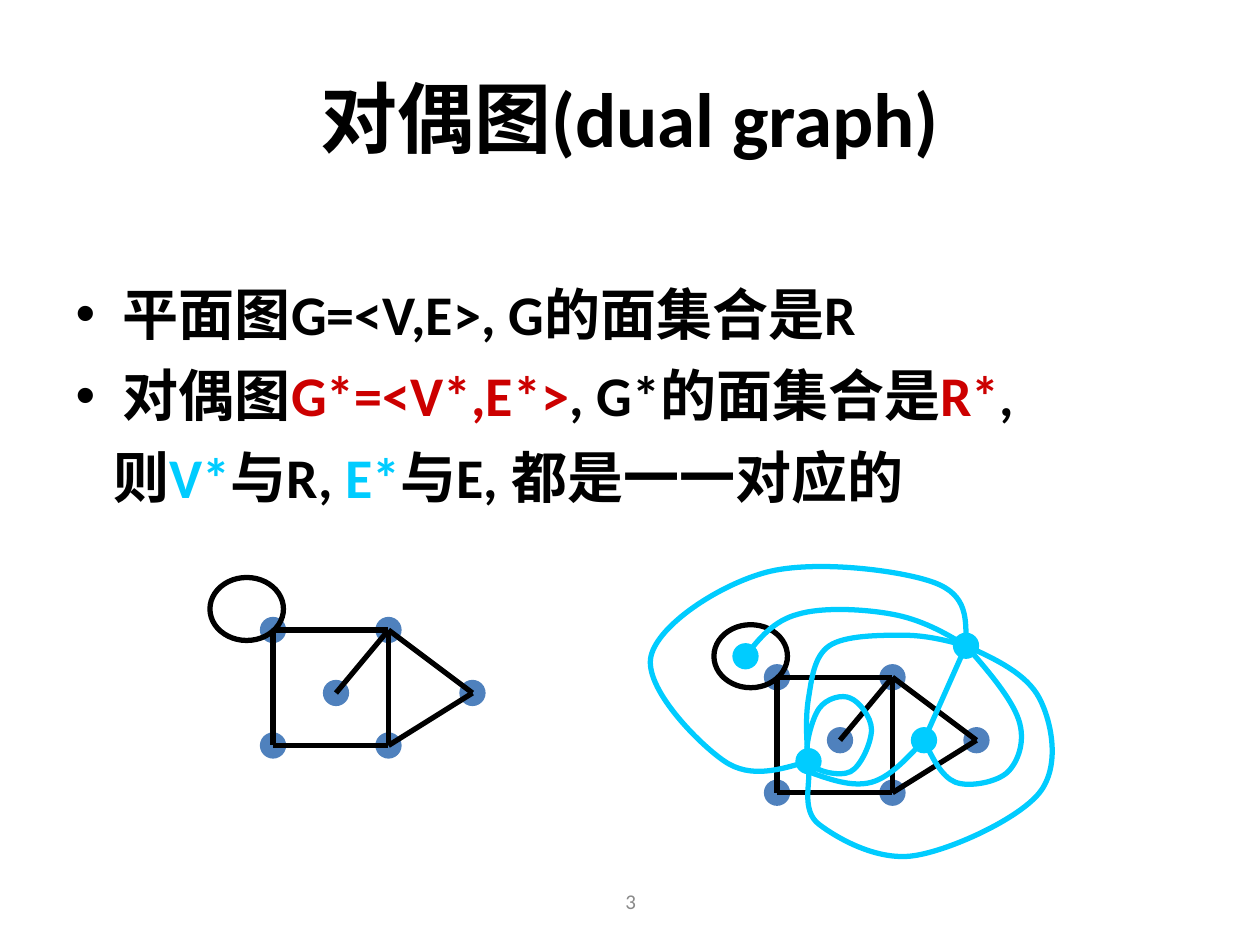
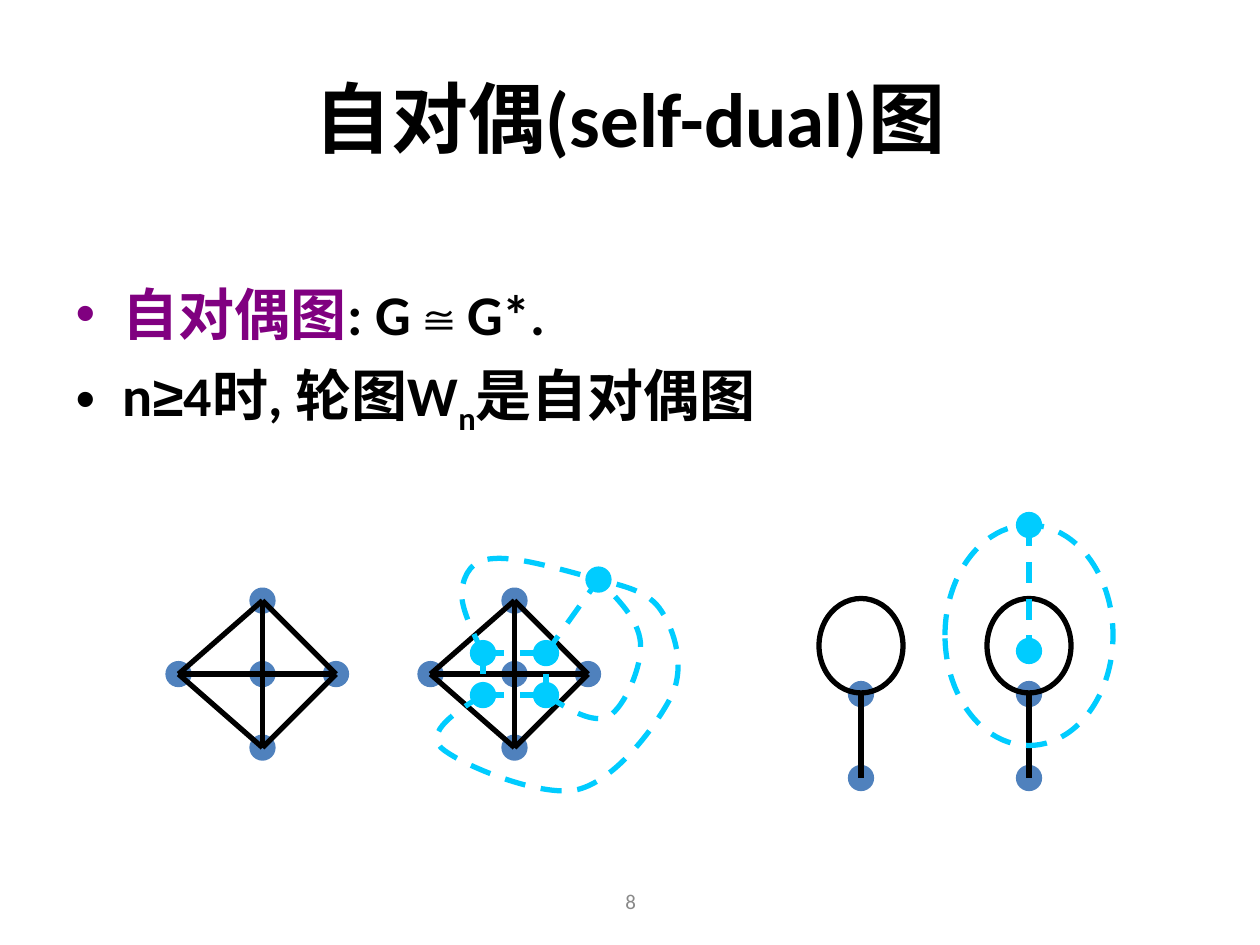
from pptx import Presentation
from pptx import util as u
from pptx.dml.color import RGBColor
from pptx.enum import dml, shapes, text
from pptx.oxml import ns, xmlchemy

CELL = u.Inches(1) / 12
DOT_SIZE = 2
BLACK, BLUE, CYAN = "000000", "4F81BD", "00CCFF"
RED, PURPLE, GREY = "CC0000", "800080", "898989"
FONT, SYMBOL_FONT = "Calibri", "Arial"

HOUSE_VERTICES = [(0, 0), (0, 11), (11, 11), (11, 0), (19, 6), (6, 6)]
HOUSE_EDGES = [(0, 1), (1, 2), (0, 3), (3, 2), (3, 4), (2, 4), (5, 3)]
WHEEL_VERTICES = [(0, 0), (-8, 0), (0, 7), (7, 0), (0, -7)]
WHEEL_EDGES = [(4, 1), (4, 0), (4, 3), (1, 2), (2, 3), (2, 0), (1, 0), (0, 3)]
STALK_VERTICES, STALK_EDGES = [(0, 0), (0, 8)], [(0, 1)]

LOOP_FACE, SQUARE_FACE, TRIANGLE_FACE, OUTER_FACE = (71, 62.5), (77, 72.5), (88, 70.5), (92, 61.5)
HOUSE_DUAL_CURVES = [
    [SQUARE_FACE, (76.5, 71.5), (77.3, 68.5), (78, 67.5), (78.7, 66.5), (80.2, 66.1), (81, 66.5),
     (81.8, 66.8), (83, 68.3), (83, 69.5), (83, 70.7), (82, 73), (81, 73.5),
     (80, 74), (77.5, 73.5), SQUARE_FACE],
    [SQUARE_FACE, (76.8, 70.5), (76.7, 68.3), (77, 66.5), (77.3, 64.7), (77.5, 62.5), (79, 61.5),
     (80.5, 60.5), (83.8, 60.5), (86, 60.5), (88.2, 60.5), (90.1, 61), OUTER_FACE],
    [TRIANGLE_FACE, (88.8, 72.2), (89.7, 74), (91, 74.5), (92.3, 75), (95, 74.5), (96, 73.5),
     (97, 72.5), (97.7, 70.5), (97, 68.5), (96.3, 66.5), (94.2, 64), OUTER_FACE],
    [(77, 73.5), (79, 74.2), (81.1, 75), (83, 74.5), (84.8, 74), (86.4, 72.2), TRIANGLE_FACE],
    [LOOP_FACE, (72.3, 60.8), (73.7, 59.1), (76, 58.5), (78.3, 57.8), (82.3, 58), (85, 58.5),
     (87.7, 59), (89.9, 60.2), OUTER_FACE],
    [SQUARE_FACE, (76.9, 72.5), (76.8, 72.5), (77, 73.5), (77.2, 74.5), (76.3, 77.2), (78, 78.5),
     (79.7, 79.8), (83.5, 82), (87, 81.5), (90.5, 81), (97, 78), (99, 75.5),
     (101, 73), (100.2, 68.8), (99, 66.5), (97.8, 64.2), (94.9, 62.8), OUTER_FACE],
    [SQUARE_FACE, (74.3, 73.3), (71.5, 74.2), (69, 72.5), (66.5, 70.8), (61.3, 65.5), (62, 62.5),
     (62.7, 59.5), (68.5, 55.7), (73, 54.5), (77.5, 53.3), (85.8, 54.3), (89, 55.5),
     (92.2, 56.7), (92, 59), OUTER_FACE],
]

WHEEL_FACES = [(46, 66.2), (46, 62.2), (52, 62.2), (52, 66.2), (57, 55.2)]
LOWER_LEFT, UPPER_LEFT, UPPER_RIGHT, LOWER_RIGHT, OUTSIDE = WHEEL_FACES
WHEEL_DUAL_LINES = [(UPPER_LEFT, LOWER_LEFT), (LOWER_LEFT, (51, 66.2)), (UPPER_LEFT, UPPER_RIGHT),
                    (LOWER_RIGHT, UPPER_RIGHT), (UPPER_RIGHT, OUTSIDE)]
WHEEL_DUAL_CURVES = [
    [UPPER_LEFT, (44.9, 59.9), (43.8, 57.7), (44, 56.2), (44.2, 54.7), (44.9, 53.3), (47, 53.2),
     (49.2, 53), (53, 54.1), OUTSIDE],
    [LOWER_RIGHT, (54.2, 67.6), (56.5, 69), (58, 68.2), (59.5, 67.3), (61.2, 63.4), (61, 61.2),
     (60.8, 59), (58.9, 57.1), OUTSIDE],
    [LOWER_LEFT, (43.2, 67.9), (40.6, 69.7), (42, 71.2), (43.6, 72.7), (51.4, 76), (55, 75.2),
     (58.7, 74.3), (62.6, 69), (64, 66.2), (65.3, 63.4), (64.2, 60), (63, 58.2),
     (61.8, 56.3), (59.4, 55.8), OUTSIDE],
]


def color(value):
    """Turn a hex string into a colour."""
    return RGBColor.from_string(value)


def cells(*numbers):
    """Convert grid cells to lengths."""
    return [round(number * CELL) for number in numbers]


def place(shape, left, top, width, height):
    """Move a shape to a box given in inches."""
    shape.left, shape.top = u.Inches(left), u.Inches(top)
    shape.width, shape.height = u.Inches(width), u.Inches(height)


def style_font(font, size, shade, bold=False, name=FONT):
    """Set the face, size, colour and weight of a font."""
    font.name, font.size, font.bold = name, u.Pt(size), bold
    font.color.rgb = color(shade)


def style_line(line, shade, dashed=False):
    """Give a line the common width, a colour and perhaps dashes."""
    line.color.rgb = color(shade)
    line.width = u.Pt(3)
    if dashed:
        line.dash_style = dml.MSO_LINE.DASH


def add_ellipse(page, center, width, height, shade, filled=False, dashed=False):
    """Draw an ellipse around a centre."""
    x, y = center
    oval = page.shapes.add_shape(shapes.MSO_SHAPE.OVAL,
                                 *cells(x - width / 2, y - height / 2, width, height))
    oval.shadow.inherit = False
    if filled:
        oval.fill.solid()
        oval.fill.fore_color.rgb = color(shade)
    else:
        oval.fill.background()
    style_line(oval.line, shade, dashed)


def add_dots(page, centers, shade):
    """Draw a filled dot for every vertex."""
    for center in centers:
        add_ellipse(page, center, DOT_SIZE, DOT_SIZE, shade, filled=True)


def add_edge(page, start, end, shade=BLACK, dashed=False):
    """Draw a straight edge between two points."""
    edge = page.shapes.add_connector(shapes.MSO_CONNECTOR.STRAIGHT, *cells(*start, *end))
    style_line(edge.line, shade, dashed)
    edge.element.spPr.append(xmlchemy.OxmlElement("a:effectLst"))


def add_curve(page, points, dashed=False):
    """Draw a chain of cubic curves, three points for each piece."""
    start, *rest = [cells(*point) for point in points]
    builder = page.shapes.build_freeform(*start)
    builder.add_line_segments(rest, close=points[0] == points[-1])
    curve = builder.convert_to_shape()
    steps = list(curve.element.iter(ns.qn("a:lnTo")))
    for first in range(0, len(steps), 3):
        piece = xmlchemy.OxmlElement("a:cubicBezTo")
        steps[first].addprevious(piece)
        for step in steps[first:first + 3]:
            piece.append(step[0])
            step.getparent().remove(step)
    curve.shadow.inherit = False
    curve.fill.background()
    style_line(curve.line, CYAN, dashed)


def add_graph(page, origin, vertices, edges):
    """Draw dots and edges relative to an origin."""
    points = [(origin[0] + x, origin[1] + y) for x, y in vertices]
    add_dots(page, points, BLUE)
    for start, end in edges:
        add_edge(page, points[start], points[end])


def add_house(page, x, y):
    """Draw the square with its triangle, pendant vertex and loop."""
    add_graph(page, (x, y), HOUSE_VERTICES, HOUSE_EDGES)
    add_ellipse(page, (x - 2.5, y - 2), 7, 6, BLACK)


def add_stalk(page, x, y):
    """Draw a single edge with a loop on top."""
    add_graph(page, (x, y), STALK_VERTICES, STALK_EDGES)
    add_ellipse(page, (x, y - 4.6), 8, 9, BLACK)


def add_span(paragraph, words, shade=BLACK, name=FONT, baseline=None):
    """Add one formatted run to a body paragraph."""
    span = paragraph.add_run()
    span.text = words
    style_font(span.font, 32, shade, True, name)
    if baseline:
        span.font._element.set("baseline", str(baseline))


def remove_bullet(paragraph, indent):
    """Turn a list item into a plain line with a left indent."""
    properties = paragraph._p.get_or_add_pPr()
    properties.set("marL", str(u.Inches(indent)))
    properties.set("indent", "0")
    properties.append(xmlchemy.OxmlElement("a:buNone"))


def add_page(deck, heading, items, number):
    """Add a slide with its title, list and page number."""
    page = deck.slides.add_slide(deck.slide_layouts[1])
    title, body = page.placeholders
    place(title, 0.5, 0.3, 9, 1.25)
    title.text_frame.text = heading
    style_font(title.text_frame.paragraphs[0].runs[0].font, 44, BLACK, True)

    place(body, 0.5, 2.17, 9, 2.08)
    frame = body.text_frame
    frame.auto_size = text.MSO_AUTO_SIZE.NONE
    for index, spans in enumerate(items):
        paragraph = frame.add_paragraph() if index else frame.paragraphs[0]
        paragraph.space_before = u.Pt(8 if index else 0)
        for span in spans:
            add_span(paragraph, *span)

    box = page.shapes.add_textbox(0, 0, 0, 0)
    place(box, 3.42, 6.95, 3.17, 0.4)
    box.text_frame.word_wrap = True
    box.text_frame.vertical_anchor = text.MSO_ANCHOR.MIDDLE
    box.text_frame.text = number
    paragraph = box.text_frame.paragraphs[0]
    paragraph.alignment = text.PP_ALIGN.CENTER
    style_font(paragraph.runs[0].font, 12, GREY)
    return page, frame


def add_dual_page(deck):
    """Build the slide that defines the dual graph."""
    page, frame = add_page(deck, "对偶图(dual graph)", [
        [("平面图G=<V,E>, G的面集合是R",)],
        [("对偶图",), ("G*=<V*,E*>", RED), (", G*的面集合是",), ("R*", RED), (",",)],
        [("则",), ("V*", CYAN), ("与R, ",), ("E*", CYAN), ("与E, 都是一一对应的",)],
    ], "3")
    remove_bullet(frame.paragraphs[2], 0.3)
    add_house(page, 26, 60)
    add_house(page, 74, 64.5)
    add_dots(page, [LOOP_FACE, SQUARE_FACE, TRIANGLE_FACE, OUTER_FACE], CYAN)
    add_edge(page, TRIANGLE_FACE, OUTER_FACE, CYAN)
    for points in HOUSE_DUAL_CURVES:
        add_curve(page, points)


def add_self_dual_page(deck):
    """Build the slide about self-dual graphs."""
    page, _ = add_page(deck, "自对偶(self-dual)图", [
        [("自对偶图", PURPLE), (": G",), ("≅", BLACK, SYMBOL_FONT), ("G*.",)],
        [("n",), ("≥", BLACK, SYMBOL_FONT), ("4时, 轮图W",), ("n", BLACK, FONT, -25000),
         ("是自对偶图",)],
    ], "8")
    for x in (25, 49):
        add_graph(page, (x, 64.2), WHEEL_VERTICES, WHEEL_EDGES)
    add_dots(page, WHEEL_FACES, CYAN)
    for start, end in WHEEL_DUAL_LINES:
        add_edge(page, start, end, CYAN, dashed=True)
    for points in WHEEL_DUAL_CURVES:
        add_curve(page, points, dashed=True)

    for x in (82, 98):
        add_stalk(page, x, 66.1)
    inner, outer = (98, 62), (98, 50)
    add_dots(page, [inner, outer], CYAN)
    add_edge(page, outer, inner, CYAN, dashed=True)
    add_ellipse(page, (98, 60.5), 16, 21, CYAN, dashed=True)


def main():
    """Build and save the deck."""
    deck = Presentation()
    deck.slide_width, deck.slide_height = u.Inches(10), u.Inches(7.5)
    add_dual_page(deck)
    add_self_dual_page(deck)
    deck.save("out.pptx")


if __name__ == "__main__":
    main()
